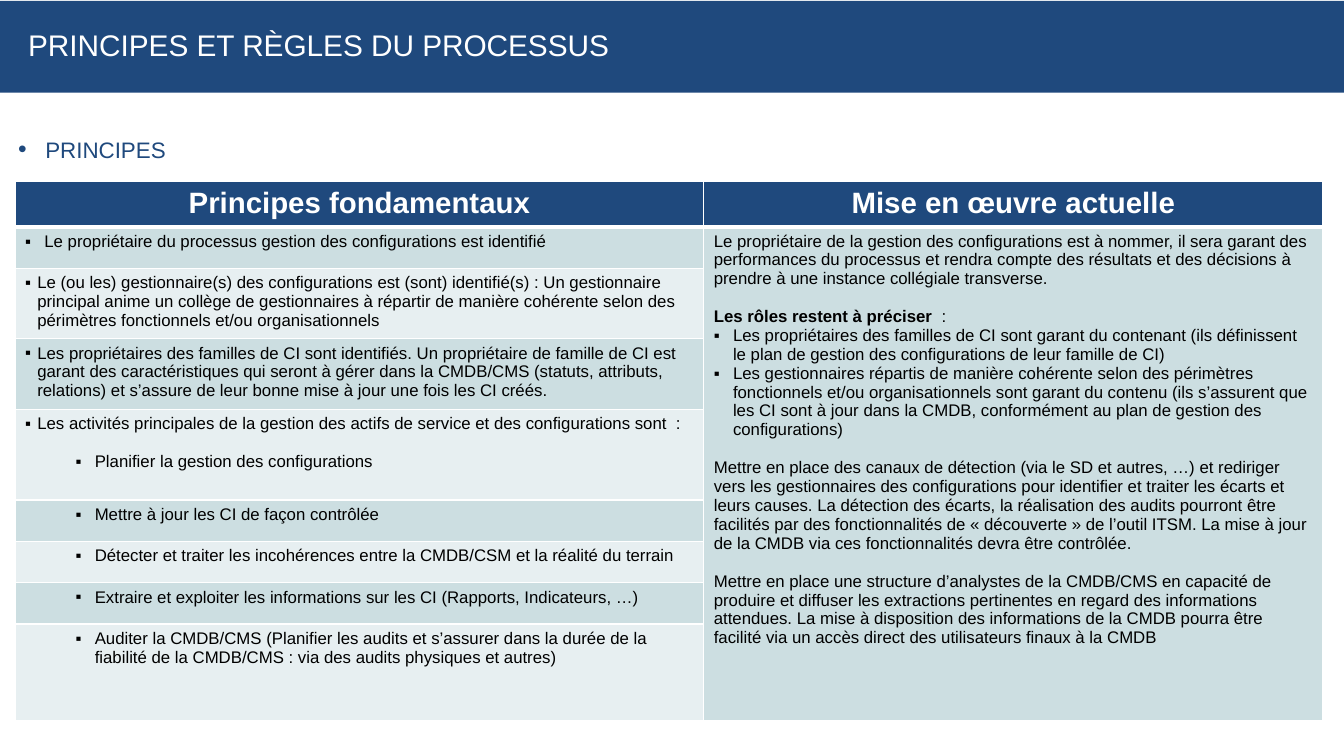
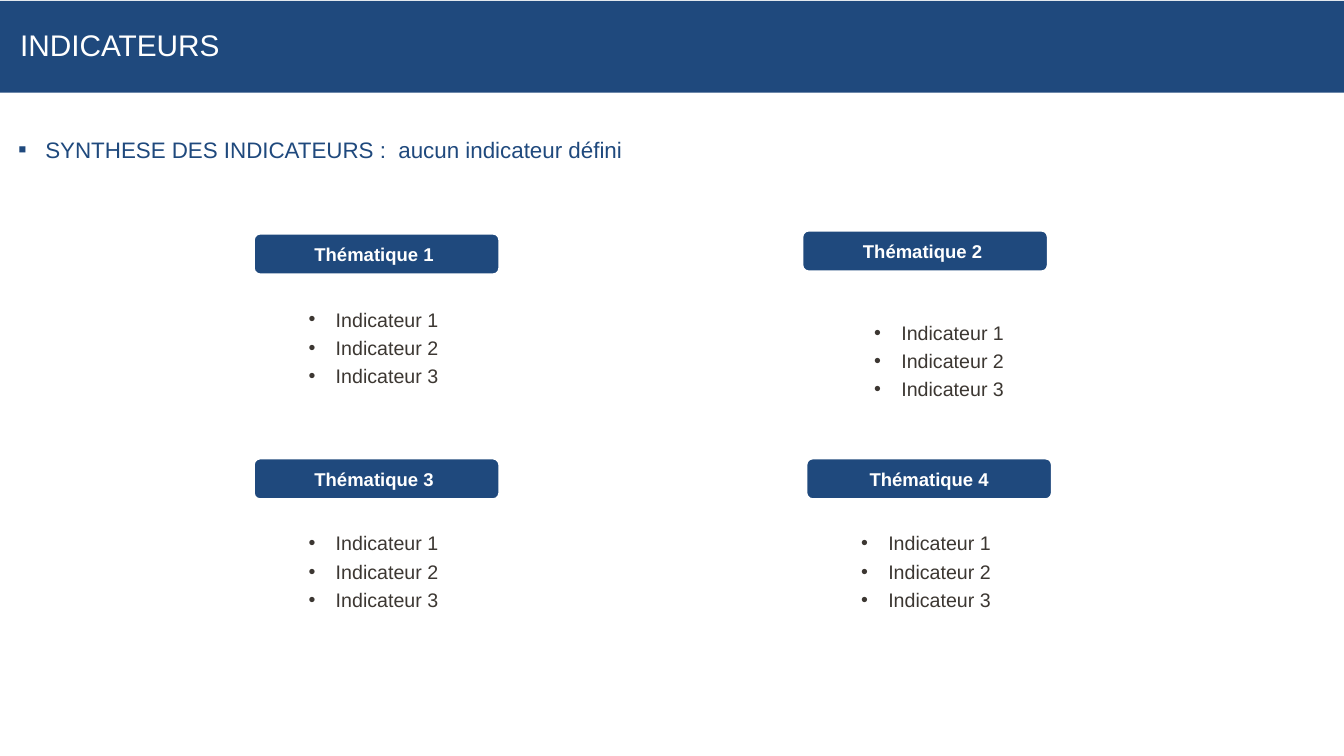
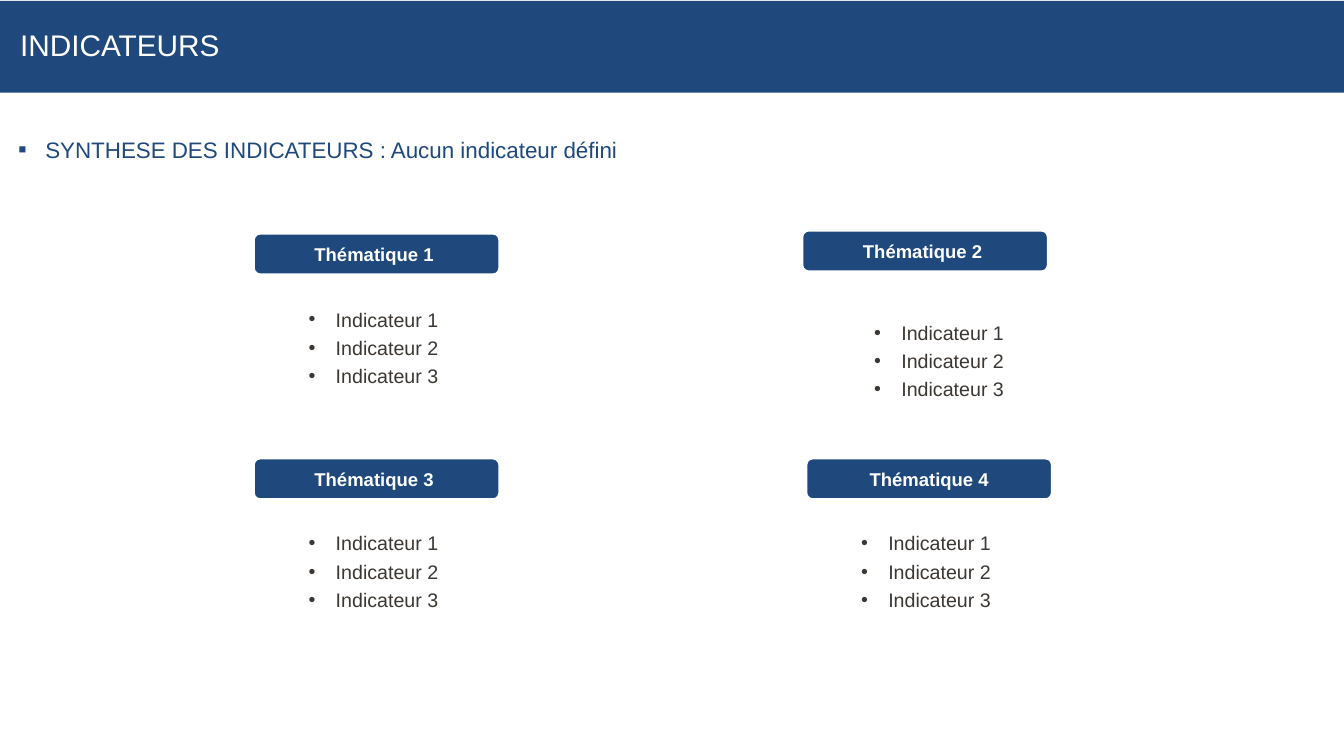
from lxml.etree import SubElement
from pptx import Presentation
from pptx.dml.color import RGBColor
from pptx.enum.shapes import MSO_SHAPE
from pptx.enum.text import MSO_ANCHOR, PP_ALIGN
from pptx.oxml import parse_xml
from pptx.oxml.ns import nsdecls, qn
from pptx.util import Emu, Inches, Pt

COLORS = {"navy": "1F497D", "white": "FFFFFF", "black": "000000",
          "text": "3C3732", "band": "CCDEE1", "light": "E7EFF1"}
FONT = "Arial"
WIDTH, HEIGHT = 13.33, 7.5
ROUND, SQUARE = "•", "▪"
BLANK_LINE = 13.8

# Bulleted paragraphs: (left margin, first line indent)
HANGING, TIGHT, NESTED = (0.19, -0.19), (0.12, -0.19), (0.69, -0.19)

# Table paragraphs: (text, indents or None, space before in points)
HEADERS = ["Principes fondamentaux", "Mise en œuvre actuelle"]
COLUMN_WIDTHS = [6.83, 6.14]
HEADER_HEIGHT = 0.45
PRINCIPLES = [  # (row height, paragraphs)
    (0.41, [("Le propriétaire du processus gestion des configurations est identifié", HANGING, 0)]),
    (0.7, [("Le (ou les) gestionnaire(s) des configurations est (sont) identifié(s) : Un gestionnaire "
            "principal anime un collège de gestionnaires à répartir de manière cohérente selon des "
            "périmètres fonctionnels et/ou organisationnels", TIGHT, 0)]),
    (0.7, [("Les propriétaires des familles de CI sont identifiés. Un propriétaire de famille de CI est "
            "garant des caractéristiques qui seront à gérer dans la CMDB/CMS (statuts, attributs, "
            "relations) et s’assure de leur bonne mise à jour une fois les CI créés.", TIGHT, 0)]),
    (0.9, [("Les activités principales de la gestion des actifs de service et des configurations sont  :",
            TIGHT, 0),
           ("Planifier la gestion des configurations", NESTED, BLANK_LINE)]),
    (0.41, [("Mettre à jour les CI de façon contrôlée", NESTED, 0)]),
    (0.41, [("Détecter et traiter les incohérences entre la CMDB/CSM et la réalité du terrain", NESTED, 0)]),
    (0.41, [("Extraire et exploiter les informations sur les CI (Rapports, Indicateurs, …)", NESTED, 0)]),
    (0.96, [("Auditer la CMDB/CMS (Planifier les audits et s’assurer dans la durée de la fiabilité de la "
             "CMDB/CMS : via des audits physiques et autres)", NESTED, 0)]),
]
ROLES_LEAD = "Les rôles restent à préciser  "
IMPLEMENTATION = [
    ("Le propriétaire de la gestion des configurations est à nommer, il sera garant des performances du "
     "processus et rendra compte des résultats et des décisions à prendre à une instance collégiale "
     "transverse.", None, 0),
    (ROLES_LEAD + ":", None, BLANK_LINE),
    ("Les propriétaires des familles de CI sont garant du contenant (ils définissent le plan de gestion "
     "des configurations de leur famille de CI)", HANGING, 0),
    ("Les gestionnaires répartis de manière cohérente selon des périmètres fonctionnels et/ou "
     "organisationnels sont garant du contenu (ils s’assurent que les CI sont à jour dans la CMDB, "
     "conformément au plan de gestion des configurations)", HANGING, 0),
    ("Mettre en place des canaux de détection (via le SD et autres, …) et rediriger vers les "
     "gestionnaires des configurations pour identifier et traiter les écarts et leurs causes. La "
     "détection des écarts, la réalisation des audits pourront être facilités par des fonctionnalités "
     "de « découverte » de l’outil ITSM. La mise à jour de la CMDB via ces fonctionnalités devra être "
     "contrôlée.", None, BLANK_LINE),
    ("Mettre en place une structure d’analystes de la CMDB/CMS en capacité de produire et diffuser les "
     "extractions pertinentes en regard des informations attendues. La mise à disposition des "
     "informations de la CMDB pourra être facilité via un accès direct des utilisateurs finaux à la "
     "CMDB", None, BLANK_LINE),
]

# (label, label position, list position)
THEMES = [
    ("Thématique 1 ", (2.51, 2.31), (2.54, 3.05)),
    ("Thématique 2 ", (7.95, 2.28), (8.15, 3.18)),
    ("Thématique 3 ", (2.51, 4.54), (2.54, 5.27)),
    ("Thématique 4", (7.99, 4.54), (8.02, 5.27)),
]
INDICATORS = [f"Indicateur {number}" for number in (1, 2, 3)]
INDICATOR_SUBTITLES = ["SYNTHESE DES INDICATEURS :  aucun indicateur défini",
                       "SYNTHESE DES INDICATEURS : Aucun indicateur défini"]


def rgb(name):
    return RGBColor.from_string(COLORS[name])


def box(left, top, width, height):
    return [Inches(value) for value in (left, top, width, height)]


def style(paragraph, size, color, bold=False):
    font = paragraph.font
    font.name, font.size, font.bold = FONT, Pt(size), bold
    font.color.rgb = rgb(color)


def add_bullet(paragraph, character, indents, color, percent=100):
    properties = paragraph._p.get_or_add_pPr()
    for name, value in zip(("marL", "indent"), indents):
        properties.set(name, str(Inches(value)))
    bullet_color = SubElement(properties, qn("a:buClr"))
    SubElement(bullet_color, qn("a:srgbClr"), val=COLORS[color])
    SubElement(properties, qn("a:buSzPct"), val=str(percent * 1000))
    SubElement(properties, qn("a:buFont"), typeface=FONT)
    SubElement(properties, qn("a:buChar"), char=character)


def set_insets(frame, horizontal, vertical):
    frame.margin_left = frame.margin_right = Inches(horizontal)
    frame.margin_top = frame.margin_bottom = Inches(vertical)


def next_paragraph(frame, index):
    return frame.add_paragraph() if index else frame.paragraphs[0]


def add_panel(slide, kind, area, text, size, bold=False):
    """Navy shape with white, vertically centred text."""
    shape = slide.shapes.add_shape(kind, *box(*area))
    shape.shadow.inherit = False
    shape.fill.solid()
    shape.fill.fore_color.rgb = rgb("navy")
    shape.line.fill.background()
    frame = shape.text_frame
    frame.word_wrap, frame.vertical_anchor = True, MSO_ANCHOR.MIDDLE
    frame.text = text
    style(frame.paragraphs[0], size, "white", bold)
    return shape


def add_list(slide, area, items, character, indents, size, color, percent=100, space=0):
    frame = slide.shapes.add_textbox(*box(*area)).text_frame
    frame.word_wrap = True
    set_insets(frame, 0, 0)
    for index, item in enumerate(items):
        paragraph = next_paragraph(frame, index)
        paragraph.text = item
        add_bullet(paragraph, character, indents, color, percent)
        if index:
            paragraph.space_before = Pt(space)
        style(paragraph, size, color)


def add_base(presentation, title, subtitle, bullet, title_indent=0.0):
    """Slide with the title band and the bulleted subtitle."""
    slide = presentation.slides.add_slide(presentation.slide_layouts[6])
    band = add_panel(slide, MSO_SHAPE.RECTANGLE, (0, 0.01, WIDTH, 0.91), title, 21.3)
    frame = band.text_frame
    set_insets(frame, 0.2, 0.04)
    frame.margin_left = Inches(0.2 + title_indent)
    frame.paragraphs[0].alignment = PP_ALIGN.LEFT
    frame.paragraphs[0].line_spacing = 0.9
    add_list(slide, (0.18, 1.35, 12.55, 0.67), [subtitle], bullet, (0.27, -0.27), 16, "navy", 110)
    return slide


def set_borders(cell, top, bottom):
    properties = cell._tc.get_or_add_tcPr()
    for index, (side, points) in enumerate((("L", 1), ("R", 1), ("T", top), ("B", bottom))):
        properties.insert(index, parse_xml(
            f'<a:ln{side} {nsdecls("a")} w="{Pt(points)}"><a:solidFill>'
            f'<a:srgbClr val="{COLORS["white"]}"/></a:solidFill></a:ln{side}>'))


def fill_cell(cell, color, top=1, bottom=1):
    cell.fill.solid()
    cell.fill.fore_color.rgb = rgb(color)
    set_borders(cell, top, bottom)


def write_cell(cell, paragraphs):
    for index, (text, indents, space) in enumerate(paragraphs):
        paragraph = next_paragraph(cell.text_frame, index)
        if text.startswith(ROLES_LEAD):
            lead = paragraph.add_run()
            lead.text, lead.font.bold = ROLES_LEAD, True
            text = text.removeprefix(ROLES_LEAD)
        paragraph.add_run().text = text
        if indents:
            add_bullet(paragraph, SQUARE, indents, "black")
        if space:
            paragraph.space_before = Pt(space)
        style(paragraph, 12, "black")


def add_principles_table(slide):
    heights = [HEADER_HEIGHT] + [height for height, _ in PRINCIPLES]
    area = box(0.15, 1.8, sum(COLUMN_WIDTHS), sum(heights))
    table = slide.shapes.add_table(len(heights), len(HEADERS), *area).table
    for column, width in zip(table.columns, COLUMN_WIDTHS):
        column.width = Inches(width)
    for row, height in zip(table.rows, heights):
        row.height = Inches(height)
    for column, header in enumerate(HEADERS):
        cell = table.cell(0, column)
        fill_cell(cell, "navy", bottom=3)
        cell.text = header
        paragraph = cell.text_frame.paragraphs[0]
        paragraph.alignment = PP_ALIGN.CENTER
        style(paragraph, 21, "white", True)
    for row, (_, paragraphs) in enumerate(PRINCIPLES, 1):
        cell = table.cell(row, 0)
        fill_cell(cell, "band" if row % 2 else "light", top=3 if row == 1 else 1)
        write_cell(cell, paragraphs)
    merged = table.cell(1, 1)
    merged.merge(table.cell(len(PRINCIPLES), 1))
    fill_cell(merged, "band", top=3)
    write_cell(merged, IMPLEMENTATION)


def add_theme(slide, label, label_position, list_position):
    shape = add_panel(slide, MSO_SHAPE.ROUNDED_RECTANGLE, (*label_position, 2.45, 0.42), label, 13.2, True)
    shape.line.color.rgb = rgb("white")
    shape.line.width = Pt(2.5)
    shape.text_frame.paragraphs[0].alignment = PP_ALIGN.CENTER
    add_list(slide, (*list_position, 2.43, 1.7), INDICATORS, ROUND, (0.79, -0.27), 14, "text", space=3.5)


def main():
    presentation = Presentation()
    presentation.slide_width, presentation.slide_height = Inches(WIDTH), Inches(HEIGHT)
    slide = add_base(presentation, "PRINCIPES ET RÈGLES DU PROCESSUS", "PRINCIPES", ROUND, 0.08)
    add_principles_table(slide)
    for subtitle in INDICATOR_SUBTITLES:
        slide = add_base(presentation, "INDICATEURS", subtitle, SQUARE)
        for theme in THEMES:
            add_theme(slide, *theme)
    presentation.save("out.pptx")


if __name__ == "__main__":
    main()
